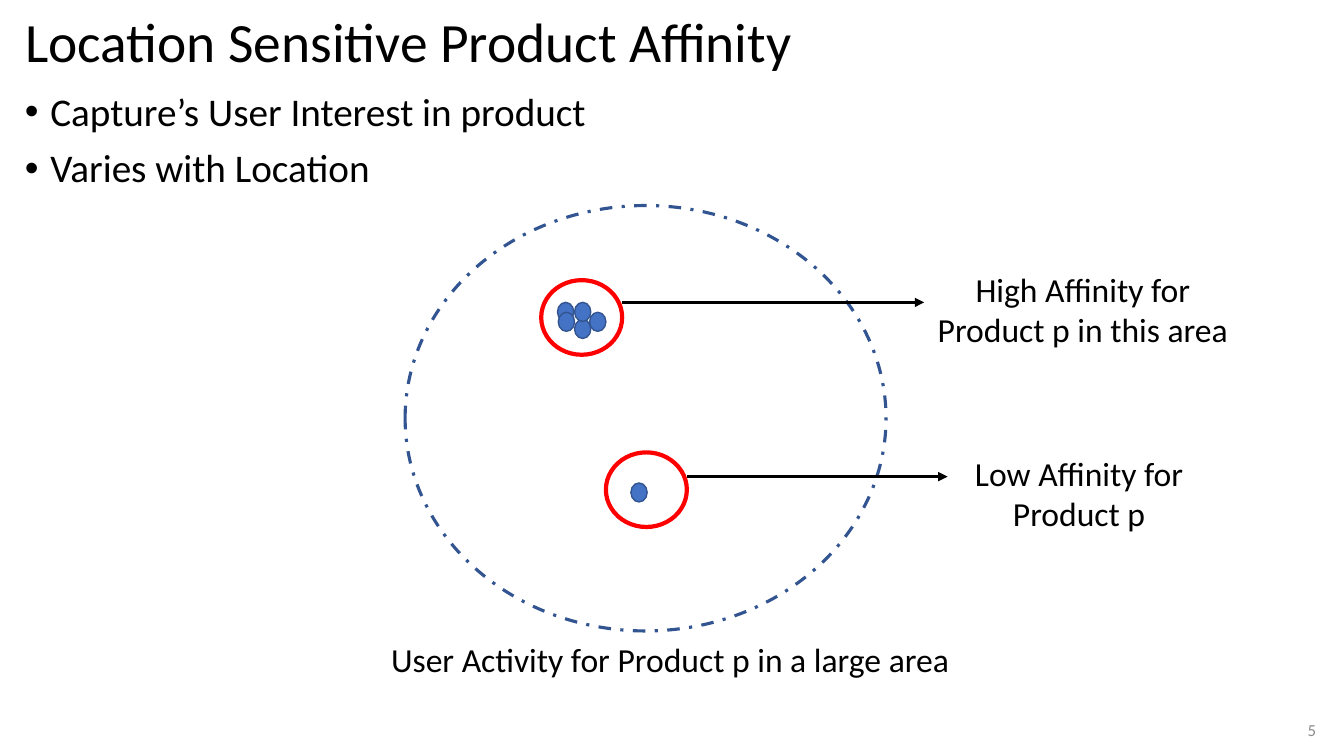
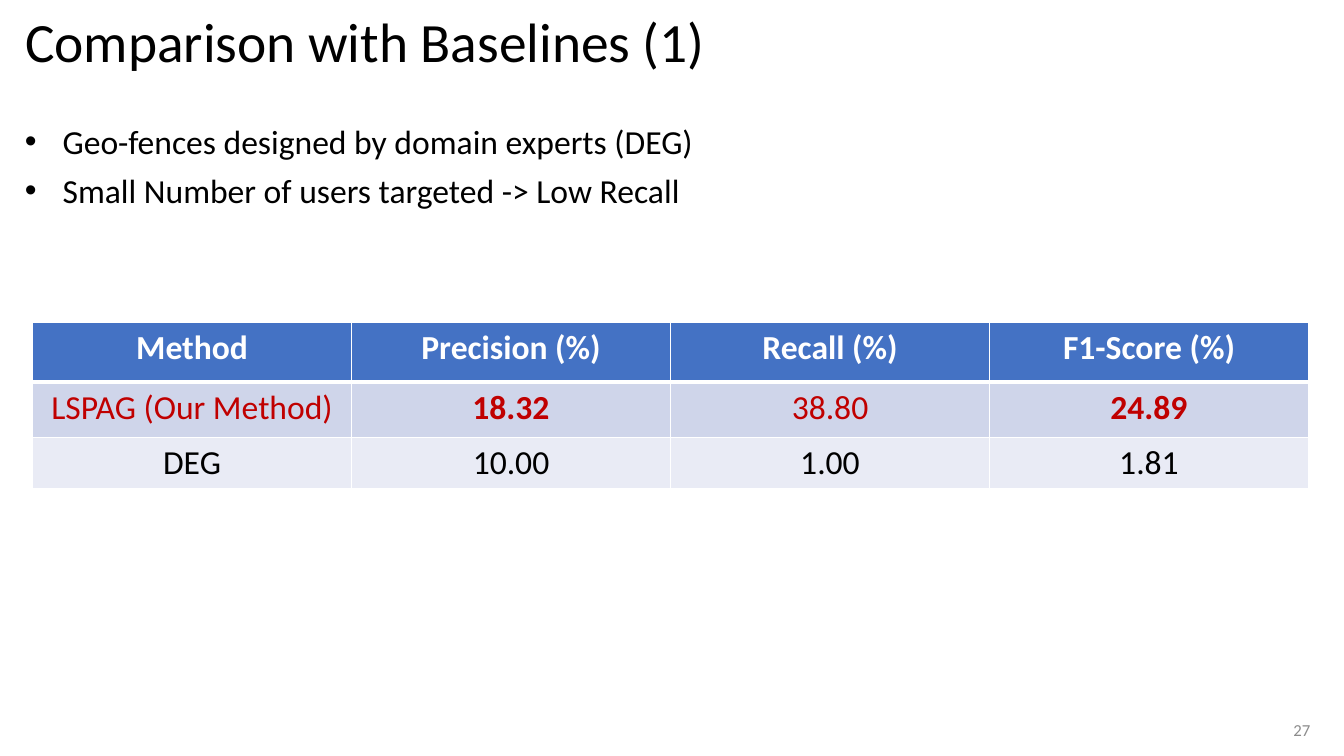
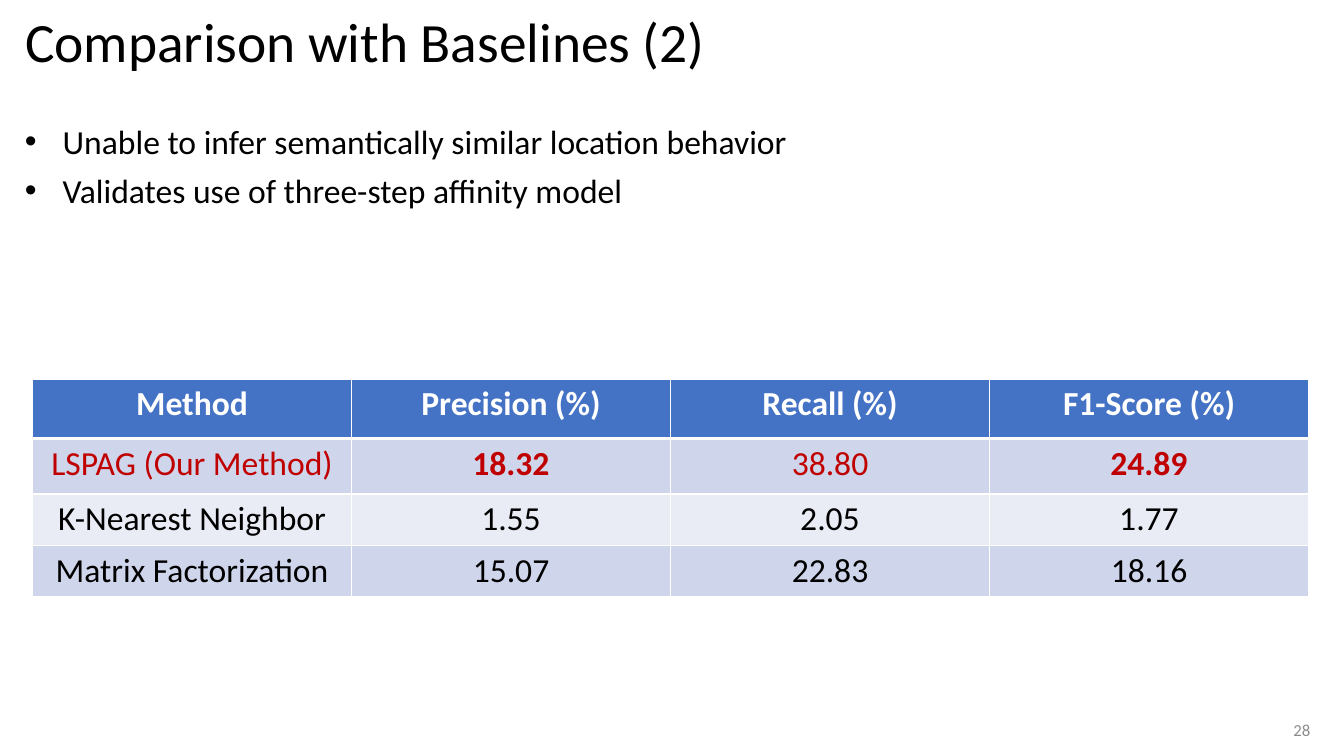
from dataclasses import dataclass
from pptx import Presentation as Deck
from pptx.dml.color import RGBColor as Rgb
from pptx.enum.dml import MSO_LINE_DASH_STYLE as Dash
from pptx.enum.shapes import MSO_CONNECTOR as Link, MSO_SHAPE as Kind
from pptx.enum.text import MSO_ANCHOR as Anchor, MSO_AUTO_SIZE as Fit, PP_ALIGN as Align
from pptx.oxml.ns import qn
from pptx.oxml.xmlchemy import OxmlElement as Node
from pptx.util import Cm, Pt


@dataclass(frozen=True)
class Theme:
    font: str = "Calibri"
    black: str = "000000"
    white: str = "FFFFFF"
    blue: str = "4472C4"
    navy: str = "325491"
    red: str = "FF0000"
    mark: str = "C00000"
    gray: str = "8C8C8C"
    bands: tuple = ("CFD5EA", "E9EBF5")
    title: float = 39.6
    lead: int = 28
    body: int = 24
    note: int = 12


LOOK = Theme()
LEFT, WIDE = 0.38, 33.02
HEAD = ["Method", "Precision (%)", "Recall (%)", "F1-Score (%)"]
OURS = ["LSPAG (Our Method)", "18.32", "38.80", "24.89"]


def apply(item, values):
    for key, value in values.items():
        setattr(item, key, value)


def box(left, top, width, height):
    return [Cm(n) for n in (left, top, width, height)]


def child(parent, tag, **values):
    node = Node(tag)
    for key, value in values.items():
        node.set(key, str(value))
    parent.append(node)
    return node


def write(frame, lines, size=LOOK.body, color=LOOK.black, bold=False, dent=0, **form):
    apply(frame, {"word_wrap": True, "auto_size": Fit.NONE})
    for at, line in enumerate(lines):
        para = frame.add_paragraph() if at else frame.paragraphs[0]
        if dent:
            props = para._p.get_or_add_pPr()
            props.set("marL", str(Cm(dent)))
            props.set("indent", str(-Cm(dent)))
            child(props, "a:buFont", typeface="Arial")
            child(props, "a:buChar", char="•")
        rules = dict(form) if at else {k: v for k, v in form.items() if k != "space_before"}
        apply(para, rules)
        run = para.add_run()
        run.text = line
        apply(run.font, {"name": LOOK.font, "size": Pt(size), "bold": bold})
        run.font.color.rgb = Rgb.from_string(color)


def label(slide, area, lines, **form):
    frame = slide.shapes.add_textbox(*box(*area)).text_frame
    write(frame, lines, **form)
    return frame


def oval(slide, area, line, width, fill=None, dash=None):
    shape = slide.shapes.add_shape(Kind.OVAL, *box(*area))
    shape.shadow.inherit = False
    if fill:
        shape.fill.solid()
        shape.fill.fore_color.rgb = Rgb.from_string(fill)
    else:
        shape.fill.background()
    shape.line.color.rgb = Rgb.from_string(line)
    apply(shape.line, {"width": Pt(width), "dash_style": dash})


def arrow(slide, start, end, top):
    link = slide.shapes.add_connector(Link.STRAIGHT, Cm(start), Cm(top), Cm(end), Cm(top))
    link.line.color.rgb = Rgb.from_string(LOOK.black)
    link.line.width = Pt(2.25)
    child(link.line._get_or_add_ln(), "a:tailEnd", type="triangle")
    child(link._element.spPr, "a:effectLst")


def edge(cell, side, width):
    line = child(cell._tc.get_or_add_tcPr(), "a:ln" + side, w=Pt(width))
    child(child(line, "a:solidFill"), "a:srgbClr", val=LOOK.white)


def table(slide, top, rows):
    highs = [1.5, 1.4] + [1.27] * (len(rows) - 2)
    area = box(0.82, top, 32.16, sum(highs))
    grid = slide.shapes.add_table(len(rows), len(HEAD), *area).table
    for col in grid.columns:
        col.width = Cm(8.04)
    for r, row in enumerate(rows):
        grid.rows[r].height = Cm(highs[r])
        fill = LOOK.bands[(r - 1) % 2] if r else LOOK.blue
        color = {0: LOOK.white, 1: LOOK.mark}.get(r, LOOK.black)
        for c, text in enumerate(row):
            cell = grid.cell(r, c)
            for side in "LRTB":
                heavy = (r, side) in ((0, "B"), (1, "T"))
                edge(cell, side, 3 if heavy else 1)
            cell.fill.solid()
            cell.fill.fore_color.rgb = Rgb.from_string(fill)
            bold = r == 0 or (r == 1 and c in (1, 3))
            write(cell.text_frame, [text], color=color, bold=bold, alignment=Align.CENTER)


def page(deck, title, number, align=Align.CENTER):
    slide = deck.slides.add_slide(deck.slide_layouts[5])
    head = slide.shapes.title
    apply(head, dict(zip(("left", "top", "width", "height"), box(LEFT, 0.36, WIDE, 1.5))))
    write(head.text_frame, [title], size=LOOK.title, alignment=Align.LEFT, line_spacing=0.9)
    head.text_frame.vertical_anchor = Anchor.MIDDLE
    foot = label(slide, (32.2, 17.88, 1.22, 1.02), [str(number)],
                 size=LOOK.note, color=LOOK.gray, alignment=align)
    foot.vertical_anchor = Anchor.MIDDLE
    return slide


def area(deck):
    slide = page(deck, "Location Sensitive Product Affinity", 5, Align.RIGHT)
    label(slide, (LEFT, 2.21, WIDE, 2.95),
          ["Capture’s User Interest in product", "Varies with Location"],
          size=LOOK.lead, dent=0.64, line_spacing=0.9, space_before=Pt(10))
    oval(slide, (10.21, 5.18, 12.12, 10.72), LOOK.navy, 2.25, dash=Dash.DASH_DOT)
    dots = [(14.05, 7.62), (14.48, 8.05), (14.07, 7.87),
            (14.86, 7.87), (14.48, 7.62), (15.9, 12.17)]
    for left, top in dots:
        oval(slide, (left, top, 0.41, 0.48), LOOK.navy, 1, LOOK.blue)
    size = 2.04
    calls = [
        ((13.64, 7.06), 7.62, 23.29, 6.65, 8, "High Affinity for Product p in this area"),
        ((15.27, 11.4), 12.01, 23.88, 11.28, 6.63, "Low Affinity for Product p"),
    ]
    for (left, top), mid, end, high, width, text in calls:
        oval(slide, (left, top, size, 1.88), LOOK.red, 3)
        arrow(slide, left + size, end, mid)
        label(slide, (end, high, width, 2.31), [text], alignment=Align.CENTER)
    label(slide, (9.45, 15.98, 14.88, 1.27),
          ["User Activity for Product p in a large area"], alignment=Align.CENTER)


def score(deck, part, number, points, top, rows):
    slide = page(deck, f"Comparison with Baselines ({part})", number)
    table(slide, top, [HEAD, OURS] + rows)
    label(slide, (LEFT, 2.92, WIDE, 2.51), points, dent=0.95, space_after=Pt(6))


def main():
    deck = Deck()
    apply(deck, {"slide_width": Cm(33.87), "slide_height": Cm(19.05)})
    area(deck)
    score(deck, 1, 27,
          ["Geo-fences designed by domain experts (DEG)",
           "Small Number of users targeted -> Low Recall"],
          8.13, [["DEG", "10.00", "1.00", "1.81"]])
    score(deck, 2, 28,
          ["Unable to infer semantically similar location behavior",
           "Validates use of three-step affinity model"],
          9.55, [["K-Nearest Neighbor", "1.55", "2.05", "1.77"],
                 ["Matrix Factorization", "15.07", "22.83", "18.16"]])
    deck.save("out.pptx")


if __name__ == "__main__":
    main()
